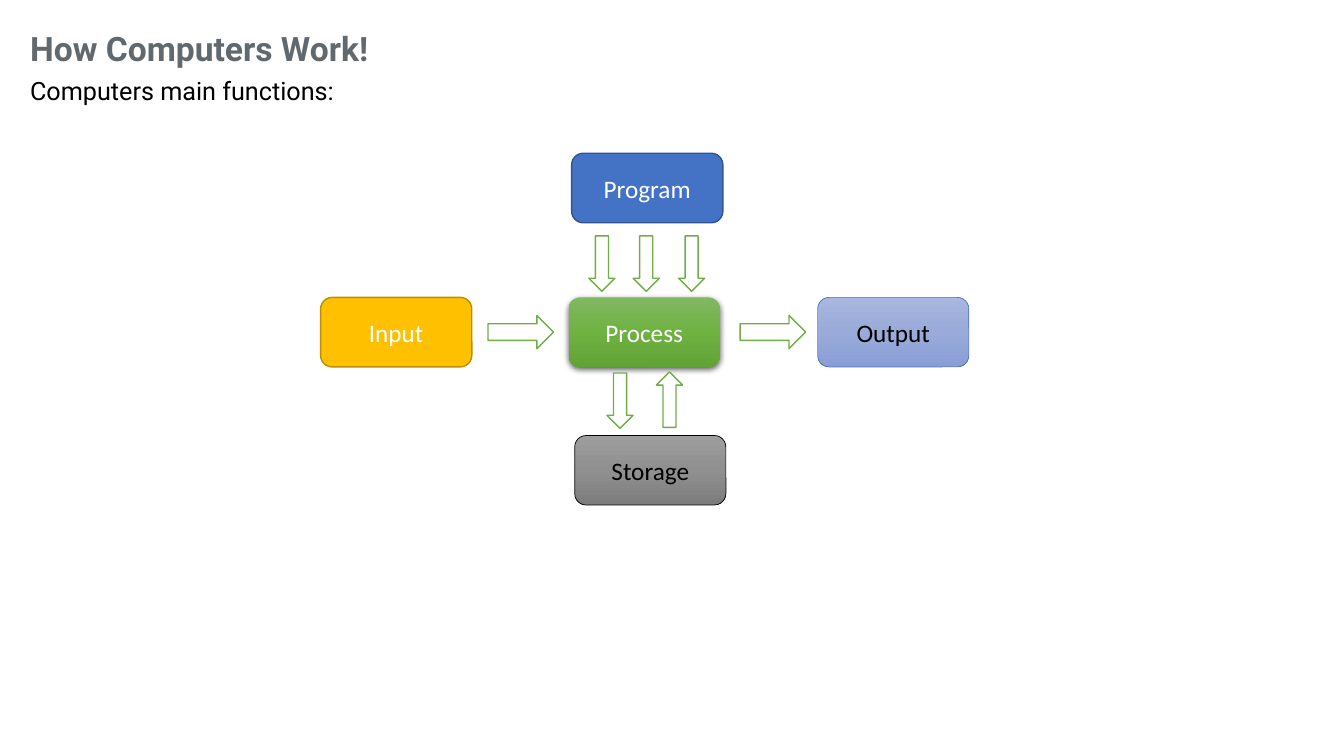
import copy

import lxml.etree
import pptx
import pptx.dml.color
import pptx.enum.shapes
import pptx.enum.text
import pptx.oxml.ns
import pptx.util

PX = 9144  # EMU per px, at 100 px to the inch
SHAPES = pptx.enum.shapes.MSO_SHAPE
BOX_SIZE = (150, 69)
ACROSS_SIZE = (65, 33)
DOWN_SIZE = (26, 55)
ROW_TOP = 295

# label, left, top, fill colours, line colour, line width, text colour
BOXES = [
    ("Process", 564, ROW_TOP, ["81B861", "6FB242", "62A336"], None, 0, "FFFFFF"),
    ("Storage", 570, 432, ["9D9D9D", "909090", "7C7C7C"], "000000", 0.5, "000000"),
    ("Output", 811, ROW_TOP, ["A8B7DF", "9AABD9", "889ED7"], "4472C4", 0.5, "000000"),
    ("Input", 318, ROW_TOP, ["FFC000"], "BD8E00", 1, "FFFFFF"),
    ("Program", 567, 152, ["4472C4"], "325491", 1, "FFFFFF"),
]


def color(value):
    return pptx.dml.color.RGBColor.from_string(value)


def emu(*lengths):
    return [length * PX for length in lengths]


def set_font(paragraph, name, size, value, bold=False):
    paragraph.font.name = name
    paragraph.font.size = pptx.util.Pt(size)
    paragraph.font.bold = bold
    paragraph.font.color.rgb = color(value)


def set_fill(shape, colors):
    """Fill with one colour, or with a top-to-bottom gradient of several."""
    if len(colors) == 1:
        shape.fill.solid()
        shape.fill.fore_color.rgb = color(colors[0])
        return
    shape.fill.gradient()
    shape.fill.gradient_angle = 270
    stop_list = shape.element.spPr.find(".//" + pptx.oxml.ns.qn("a:gsLst"))
    while len(stop_list) < len(colors):
        stop_list.append(copy.deepcopy(stop_list[0]))
    for index, (stop, value) in enumerate(zip(shape.fill.gradient_stops, colors)):
        stop.position = index / (len(colors) - 1)
        stop.color.rgb = color(value)


def set_line(shape, value, width):
    if value is None:
        shape.line.fill.background()
    else:
        shape.line.color.rgb = color(value)
        shape.line.width = pptx.util.Pt(width)


def add_soft_shadow(shape):
    qn = pptx.oxml.ns.qn
    effects = shape.element.spPr.find(qn("a:effectLst"))
    shadow = lxml.etree.SubElement(
        effects, qn("a:outerShdw"), blurRad="57150", dist="19050",
        dir="5400000", algn="ctr", rotWithShape="0")
    black = lxml.etree.SubElement(shadow, qn("a:srgbClr"), val="000000")
    lxml.etree.SubElement(black, qn("a:alpha"), val="63000")


def add_box(shapes, label, left, top, fills, line, width, text_color):
    box = shapes.add_shape(SHAPES.ROUNDED_RECTANGLE, *emu(left, top, *BOX_SIZE))
    box.shadow.inherit = False
    set_fill(box, fills)
    set_line(box, line, width)
    box.text_frame.text = label
    box.text_frame.vertical_anchor = pptx.enum.text.MSO_ANCHOR.MIDDLE
    paragraph = box.text_frame.paragraphs[0]
    paragraph.alignment = pptx.enum.text.PP_ALIGN.CENTER
    set_font(paragraph, "Calibri", 18, text_color)
    return box


def add_arrow(shapes, kind, left, top, size, rotation=0):
    arrow = shapes.add_shape(kind, *emu(left, top, *size))
    arrow.rotation = rotation
    arrow.shadow.inherit = False
    set_fill(arrow, ["FFFFFF"])
    set_line(arrow, "70AD47", 1)


def add_heading(shapes, text, top, height, size, value, bold=False):
    frame = shapes.add_textbox(*emu(20, top, 667, height)).text_frame
    frame.word_wrap = True
    frame.auto_size = pptx.enum.text.MSO_AUTO_SIZE.SHAPE_TO_FIT_TEXT
    frame.text = text
    set_font(frame.paragraphs[0], "Roboto", size, value, bold)


def main():
    presentation = pptx.Presentation()
    presentation.slide_width, presentation.slide_height = emu(1333, 750)
    slide = presentation.slides.add_slide(presentation.slide_layouts[6])
    shapes = slide.shapes

    # Headings
    add_heading(shapes, "How Computers Work!", 23, 50, 24, "62696E", bold=True)
    add_heading(shapes, "Computers main functions:", 70, 40, 18, "000000")

    # Function boxes
    for details in BOXES:
        box = add_box(shapes, *details)
        if details[0] == "Process":
            add_soft_shadow(box)

    # Input to process, process to output
    for left in (484, 734):
        add_arrow(shapes, SHAPES.RIGHT_ARROW, left, 313, ACROSS_SIZE)

    # Process to storage and back
    add_arrow(shapes, SHAPES.DOWN_ARROW, 602, 370, DOWN_SIZE)
    add_arrow(shapes, SHAPES.DOWN_ARROW, 651, 369, DOWN_SIZE, rotation=180)

    # Program to process
    program_arrows = shapes.add_group_shape()
    for left in (584, 628, 673):
        add_arrow(program_arrows.shapes, SHAPES.DOWN_ARROW, left, 234, DOWN_SIZE)

    presentation.save("out.pptx")


if __name__ == "__main__":
    main()
